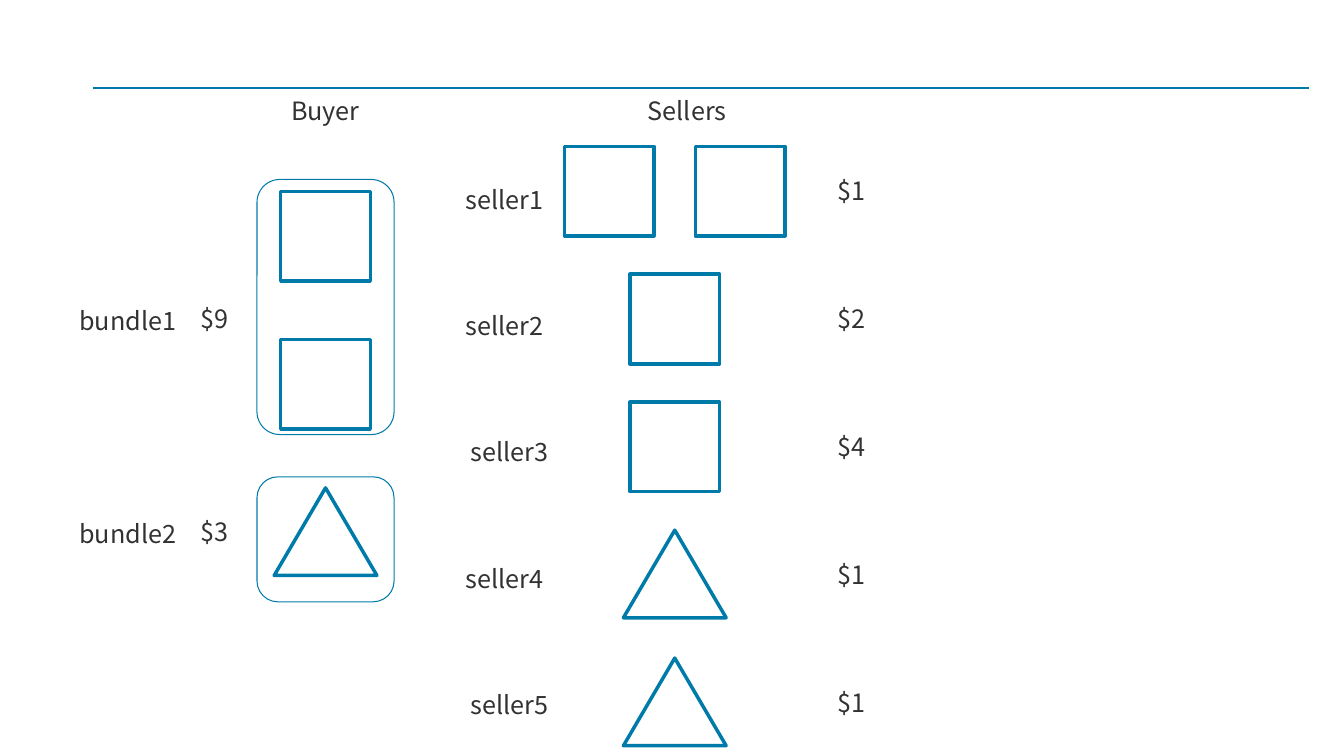
import pptx
import pptx.util
import pptx.dml.color
import pptx.enum.shapes
import pptx.enum.text
import pptx.oxml.ns
import lxml.etree

Pt = pptx.util.Pt
SHAPES = pptx.enum.shapes.MSO_SHAPE
BLUE = pptx.dml.color.RGBColor(0x00, 0x7B, 0xA9)
WHITE = pptx.dml.color.RGBColor(0xFF, 0xFF, 0xFF)
GREY = pptx.dml.color.RGBColor(0x32, 0x32, 0x32)
FONT = {"name": "Noto Sans CJK JP", "size": Pt(18)}
FRAME = {
    "margin_left": Pt(7.2),
    "margin_right": Pt(7.2),
    "margin_top": Pt(3.6),
    "margin_bottom": Pt(3.6),
    "word_wrap": False,
    "auto_size": pptx.enum.text.MSO_AUTO_SIZE.SHAPE_TO_FIT_TEXT,
}
TEXT_HEIGHT = 29
GOODS = {
    "square": (SHAPES.RECTANGLE, 64, 64, None),
    "triangle": (SHAPES.ISOSCELES_TRIANGLE, 73.4, 62.6, WHITE),
}
BUNDLES = [
    ("bundle1", "$9", 0, 182.2, 84.9, "square", [8.6, 114.4]),
    ("bundle2", "$3", 212.4, 89.3, 236.8, "triangle", [220.3]),
]
SELLERS = [
    ("seller1", "$1", "square", 2, 0),
    ("seller2", "$2", "square", 1, 0),
    ("seller3", "$4", "square", 1, 3.6),
    ("seller4", "$1", "triangle", 1, 0),
    ("seller5", "$1", "triangle", 1, 3.6),
]


def set_values(target, values):
    for name, value in values.items():
        setattr(target, name, value)


def add_text(slide, text, left, top, width):
    box = slide.shapes.add_textbox(Pt(left), Pt(top), Pt(width), Pt(TEXT_HEIGHT))
    set_values(box.text_frame, FRAME)
    run = box.text_frame.paragraphs[0].add_run()
    run.text = text
    set_values(run.font, FONT)
    run.font.color.rgb = GREY


def add_outline(slide, kind, left, top, width, height, weight, fill=None):
    shape = slide.shapes.add_shape(kind, Pt(left), Pt(top), Pt(width), Pt(height))
    shape.shadow.inherit = False
    if fill is None:
        shape.fill.background()
    else:
        shape.fill.solid()
        shape.fill.fore_color.rgb = fill
    shape.line.color.rgb = BLUE
    shape.line.width = Pt(weight)


def add_good(slide, good, center, top):
    kind, width, height, fill = GOODS[good]
    add_outline(slide, kind, center - width / 2, top, width, height, 2.5, fill)


def add_rule(slide, left, top, width):
    rule = slide.shapes.add_connector(
        pptx.enum.shapes.MSO_CONNECTOR.STRAIGHT,
        Pt(left), Pt(top), Pt(left + width), Pt(top),
    )
    rule.line.color.rgb = BLUE
    rule.line.width = Pt(1.5)
    lxml.etree.SubElement(
        rule._element.spPr, pptx.oxml.ns.qn("a:effectLst")
    )


def add_buyer(slide, left, top, width):
    frame_width = 97.9
    frame_left = left + width - frame_width
    frames_top = top + 63.4
    center = frame_left + frame_width / 2
    add_text(slide, "Buyer", center - 31.7, top, 63.4)
    for label, price, offset, height, price_offset, good, good_offsets in BUNDLES:
        for good_offset in good_offsets:
            add_good(slide, good, center, frames_top + good_offset)
        add_outline(
            slide, SHAPES.ROUNDED_RECTANGLE,
            frame_left, frames_top + offset, frame_width, height, 0.75,
        )
        price_top = frames_top + price_offset
        add_text(slide, label, left, price_top + 1.4, 83.5)
        add_text(slide, price, left + 86.4, price_top, 34.6)


def add_sellers(slide, left, top, width):
    center = left + 156.6
    add_text(slide, "Sellers", left + 130.3, top, 70.6)
    for row, (label, price, good, count, indent) in enumerate(SELLERS):
        row_top = top + 39.7 + row * 91.4
        for index in range(count):
            add_good(slide, good, center + (index - (count - 1) / 2) * 93.6, row_top)
        add_text(slide, label, left + indent, top + 63.2 + row * 90.2, 69.8)
        add_text(slide, price, left + width - 34.6, row_top + 17.2, 34.6)


def main():
    presentation = pptx.Presentation()
    set_values(presentation, {"slide_width": Pt(960), "slide_height": Pt(540)})
    slide = presentation.slides.add_slide(presentation.slide_layouts[6])
    add_rule(slide, 66.2, 62.7, 869)
    add_buyer(slide, 49.7, 64.8, 231.8)
    add_sellers(slide, 325.4, 64.8, 300.3)
    presentation.save("out.pptx")


if __name__ == "__main__":
    main()
